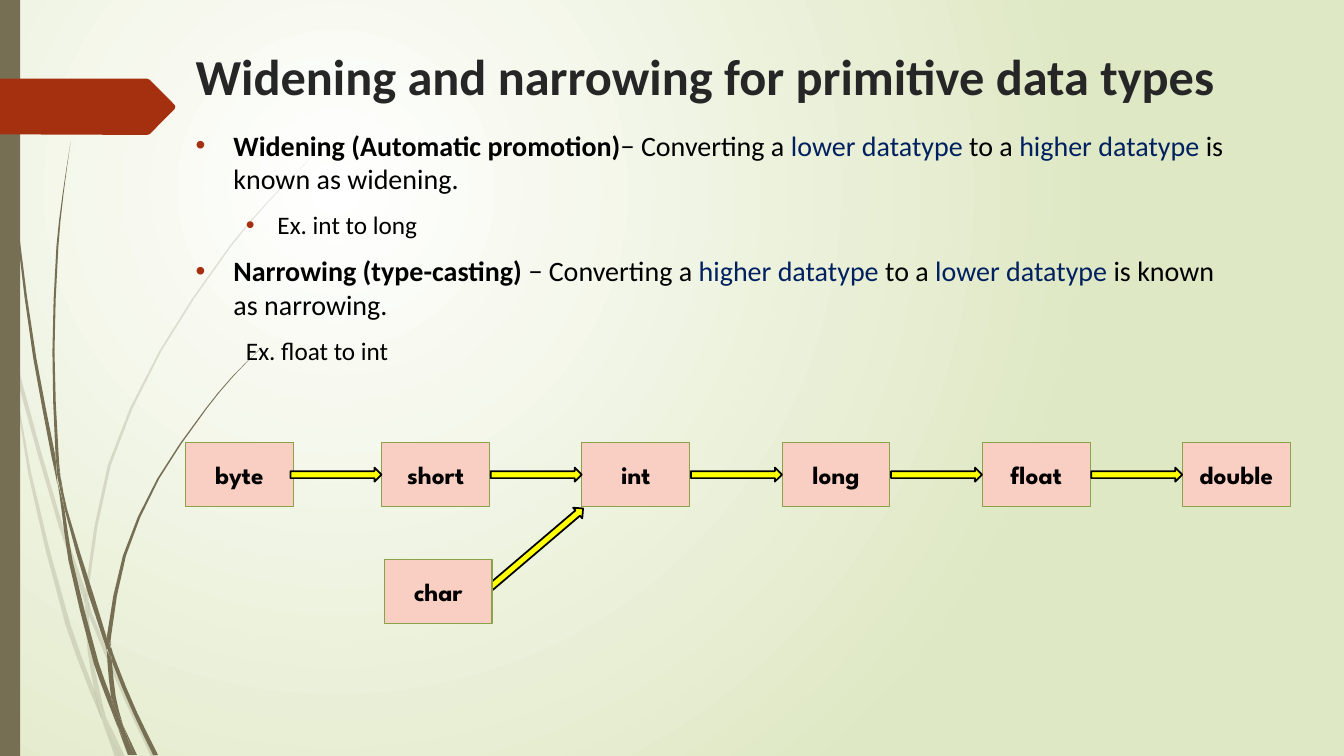
"""Build a slide on widening and narrowing of primitive data types."""
import typing

import lxml.etree
import pptx
import pptx.dml.color
import pptx.enum.shapes
import pptx.enum.text
import pptx.oxml.ns
import pptx.slide
import pptx.util

Pt = pptx.util.Pt
qn = pptx.oxml.ns.qn
RGB = pptx.dml.color.RGBColor
SHAPE = pptx.enum.shapes.MSO_SHAPE
ANCHOR = pptx.enum.text.MSO_ANCHOR
ALIGN = pptx.enum.text.PP_ALIGN
NO_AUTOFIT = pptx.enum.text.MSO_AUTO_SIZE.NONE
WHITE, BLACK = RGB(0xFF, 0xFF, 0xFF), RGB(0, 0, 0)
PALE_GREEN, GREEN = RGB(0xDF, 0xE8, 0xC4), RGB(0x8B, 0xA2, 0x49)
OLIVE, RUST = RGB(0x76, 0x6F, 0x54), RGB(0xA5, 0x30, 0x10)
CHARCOAL, NAVY = RGB(0x26, 0x26, 0x26), RGB(0x00, 0x20, 0x60)
PINK, YELLOW = RGB(0xF9, 0xCF, 0xC3), RGB(0xFF, 0xFF, 0x00)
BOX_W, BOX_H, BOX_TOP, BOX_PITCH, ARROW_W = 77, 45.7, 316, 143, 10


class Node(typing.NamedTuple):
    x: float
    y: float
    width: float


class Span(typing.NamedTuple):
    text: str
    color: RGB = BLACK
    bold: bool = False


class Item(typing.NamedTuple):
    spans: list[Span]
    size: float
    level: int
    margin: float
    indent: float


class Box(typing.NamedTuple):
    text: str
    left: float
    top: float = BOX_TOP


class Arrow(typing.NamedTuple):
    x: float
    y: float
    length: float
    rotation: float = 270


FAINT_WISPS = [
    [(0, 203, 0), (1.1, 215.3, 2.2), (5, 231.8, 2.9), (7.9, 252, 0)],
    [(10.1, 248.4, 0), (13.7, 270.7, 2.9), (43.2, 375.1, 3), (59.4, 421.9, 3.6), (60.5, 431.3, 0)],
    [(63.4, 429.1, 0), (64.8, 439.2, 2.9), (90, 498.9, 2.9), (109.8, 540.7, 3.6)],
    [(75.6, 511.9, 0), (87.5, 540.7, 3.6)],
    [(7.9, 252, 0), (21.2, 338, 2.2), (48.6, 446.4, 3.6), (65.2, 491.8, 3.6), (72.7, 514.1, 0)],
    [(60.5, 431.3, 0), (62, 439.2, 2.9), (64.1, 465.1, 2.9), (69.5, 494, 3.6), (75.6, 511.9, 0)],
    [(224.6, 110.2, 0), (193, 142.6, 0.7), (164.5, 176, 1.2), (114.5, 250.9, 1.5),
     (78.1, 332.3, 2.2), (62.3, 420.5, 2.2), (63.4, 429.1, 0)],
    [(72.7, 514.1, 0), (83.9, 540.7, 3.6)],
    [(61.2, 421.9, 0), (62, 430.6, 2.9), (63.4, 439.2, 0)],
    [(67, 491.8, 0), (73.4, 511.2, 3.6), (85.7, 540.7, 0)],
]
DARK_WISPS = [
    [(2.5, 0, 0.7), (5.4, 79.2, 0.8), (13, 167.8, 1.4), (24.8, 255.6, 2.2), (38.2, 326.2, 2.8),
     (41, 346.3, 0)],
    [(43.2, 339.8, 0), (47, 363.6, 1.8), (65.2, 425.5, 3.6), (74.9, 455.8, 2.9), (76.3, 464.4, 0)],
    [(79.2, 461.5, 0), (81.4, 472.3, 2.9), (96.5, 509, 3), (111.2, 539.3, 3.6)],
    [(41, 343.4, 0), (45, 363.6, 2.2), (50.4, 400.3, 2.9), (68.8, 473.8, 3.6), (77.4, 497.5, 3.6),
     (84.2, 519.8, 0)],
    [(50.4, 101.5, 0), (45, 139, 0.7), (41, 176.4, 1.4), (38.2, 251.3, 1.5), (40.7, 323.3, 2.2),
     (43.2, 339.8, 0)],
    [(87.8, 517.7, 0), (96.8, 539.3, 2.2)],
    [(39.6, 323.3, 0), (42.1, 340.6, 2.2), (46.1, 363.6, 0)],
    [(187.2, 247.7, 0), (166.3, 268.9, 0.7), (147.2, 292, 0.9), (113, 342, 1.4),
     (88.9, 397, 2.2), (77.9, 454.3, 3), (79.2, 461.5, 0)],
    [(84.2, 519.8, 0), (92.9, 539.3, 2.9)],
    [(76.3, 464.4, 0), (78.3, 472.3, 3.2), (81, 497.5, 3.4), (87.8, 517.7, 0)],
    [(76.7, 454.3, 0), (77.8, 463, 2.7), (79.9, 472.3, 0)],
    [(79.2, 497.5, 0), (85.7, 517.7, 4), (94.7, 539.3, 2.2)],
]
TAG = [(0, 56.2), (105, 56.2), (107, 57), (124.8, 75), (125.2, 76.2),
       (124.8, 77.8), (107, 95.8), (105, 96.4), (0, 96)]
ITEMS = [
    Item([Span("Widening (Automatic promotion)", bold=True), Span("−\u00a0Converting a "),
          Span("lower datatype ", NAVY), Span("to a "), Span("higher datatype\u00a0", NAVY),
          Span("is known as widening.")], 20, 0, 27, -27),
    Item([Span("Ex. int to long")], 18, 1, 58.5, -22.5),
    Item([Span("Narrowing (type-casting) ", bold=True), Span("− Converting a "),
          Span("higher datatype ", NAVY), Span("to a "), Span("lower datatype ", NAVY),
          Span("is known as narrowing.")], 20, 0, 27, -27),
    Item([Span("Ex. float to int")], 18, 1, 36, 0),
]
CHAIN = [Box(text, 272.7 + BOX_PITCH * i)
         for i, text in enumerate(["short", "int", "long", "float", "double"])]
ARROWS = [Arrow(box.left - 32.7, 339, 65) for box in CHAIN] + [Arrow(383, 391.7, 88, 229.6)]


def set_attrs(obj: object, **values: object) -> None:
    for name, value in values.items():
        setattr(obj, name, value)


def paint(sp: object, fill: RGB, line: RGB | None = None, width: float = 0) -> None:
    sp.shadow.inherit = False
    sp.fill.solid()
    sp.fill.fore_color.rgb = fill
    if line is None:
        sp.line.fill.background()
    else:
        sp.line.color.rgb = line
        sp.line.width = Pt(width)


def add_run(p: object, span: Span, size: float, font: str) -> None:
    r = p.add_run()
    r.text = span.text
    set_attrs(r.font, name=font, size=Pt(size), bold=span.bold)
    r.font.color.rgb = span.color


def add_polygon(s: pptx.slide.Slide, points: list, fill: RGB, alpha: int = 100) -> None:
    corners = [(Pt(x), Pt(y)) for x, y in points]
    builder = s.shapes.build_freeform(*corners[0])
    builder.add_line_segments(corners[1:], close=True)
    sp = builder.convert_to_shape()
    paint(sp, fill)
    if alpha < 100:
        color = sp._element.spPr.find(".//" + qn("a:srgbClr"))
        lxml.etree.SubElement(color, qn("a:alpha"), val=str(alpha * 1000))


def wisp_outline(nodes: list[Node]) -> list[tuple[float, float]]:
    ends = zip([nodes[0], *nodes], [*nodes[1:], nodes[-1]])
    slopes = [(b.x - a.x) / (b.y - a.y) for a, b in ends]
    spine = nodes[:1]
    for a, b, start, end in zip(nodes, nodes[1:], slopes, slopes[1:]):
        bend = (b.y - a.y) * (start - end) / 8
        spine += [Node((a.x + b.x) / 2 + bend, (a.y + b.y) / 2, (a.width + b.width) / 2), b]
    right = [(n.x + n.width / 2, n.y) for n in reversed(spine) if n.width]
    return [(n.x - n.width / 2, n.y) for n in spine] + right


def draw_background(s: pptx.slide.Slide) -> None:
    fill = s.background.fill
    fill.gradient()
    for stop, color, position in zip(fill.gradient_stops, (WHITE, PALE_GREEN), (0, 1)):
        stop.color.rgb, stop.position = color, position
    grad = s._element.find(".//" + qn("a:gradFill"))
    grad.remove(grad.find(qn("a:lin")))
    circle = lxml.etree.SubElement(grad, qn("a:path"), path="circle")
    lxml.etree.SubElement(circle, qn("a:fillToRect"), l="50000", t="50000", r="100000", b="100000")
    for wisps, alpha in ((FAINT_WISPS, 20), (DARK_WISPS, 100)):
        for wisp in wisps:
            add_polygon(s, wisp_outline([Node(*n) for n in wisp]), OLIVE, alpha)
    paint(s.shapes.add_shape(SHAPE.RECTANGLE, 0, 0, Pt(14.4), Pt(540)), OLIVE)
    add_polygon(s, TAG, RUST)


def place_text(s: pptx.slide.Slide, sp: object, top: float, height: float) -> object:
    set_attrs(sp, left=Pt(132.5), top=Pt(top), width=Pt(762), height=Pt(height))
    s.shapes._spTree.append(sp._element)
    set_attrs(sp.text_frame, vertical_anchor=ANCHOR.TOP, word_wrap=True, auto_size=NO_AUTOFIT)
    return sp.text_frame


def add_item(p: object, item: Item) -> None:
    set_attrs(p, level=item.level, space_before=Pt(10), alignment=ALIGN.LEFT)
    pPr = p._p.get_or_add_pPr()
    pPr.set("marL", str(Pt(item.margin)))
    pPr.set("indent", str(Pt(item.indent)))
    if item.indent:
        color = lxml.etree.SubElement(pPr, qn("a:buClr"))
        lxml.etree.SubElement(color, qn("a:srgbClr"), val=str(RUST))
        lxml.etree.SubElement(pPr, qn("a:buFont"), typeface="Arial")
        lxml.etree.SubElement(pPr, qn("a:buChar"), char="•")
    else:
        lxml.etree.SubElement(pPr, qn("a:buNone"))
    for span in item.spans:
        add_run(p, span, item.size, "Calibri")


def add_box(s: pptx.slide.Slide, box: Box) -> None:
    sp = s.shapes.add_shape(SHAPE.RECTANGLE, Pt(box.left), Pt(box.top), Pt(BOX_W), Pt(BOX_H))
    paint(sp, PINK, GREEN, 0.75)
    set_attrs(sp.text_frame, vertical_anchor=ANCHOR.MIDDLE, word_wrap=False)
    p = sp.text_frame.paragraphs[0]
    p.alignment = ALIGN.CENTER
    add_run(p, Span(box.text, bold=True), 18, "League Spartan")


def add_arrow(s: pptx.slide.Slide, arrow: Arrow) -> None:
    left, top = Pt(arrow.x - ARROW_W / 2), Pt(arrow.y - arrow.length / 2)
    sp = s.shapes.add_shape(SHAPE.DOWN_ARROW, left, top, Pt(ARROW_W), Pt(arrow.length))
    sp.rotation = arrow.rotation
    paint(sp, YELLOW, BLACK, 1.25)


def main() -> None:
    prs = pptx.Presentation()
    set_attrs(prs, slide_width=Pt(960), slide_height=Pt(540))
    s = prs.slides.add_slide(prs.slide_layouts[1])
    title, body = s.placeholders
    draw_background(s)
    p = place_text(s, title, 28.8, 64).paragraphs[0]
    p.alignment = ALIGN.LEFT
    add_run(p, Span("Widening and narrowing for primitive data types", CHARCOAL, True), 36, "Calibri")
    tf = place_text(s, body, 88, 398)
    for i, item in enumerate(ITEMS):
        add_item(tf.add_paragraph() if i else tf.paragraphs[0], item)
    for box in [Box("byte", 132.5), *CHAIN]:
        add_box(s, box)
    for arrow in ARROWS:
        add_arrow(s, arrow)
    add_box(s, Box("char", 274.5, 399.6))
    prs.save("out.pptx")


if __name__ == "__main__":
    main()
